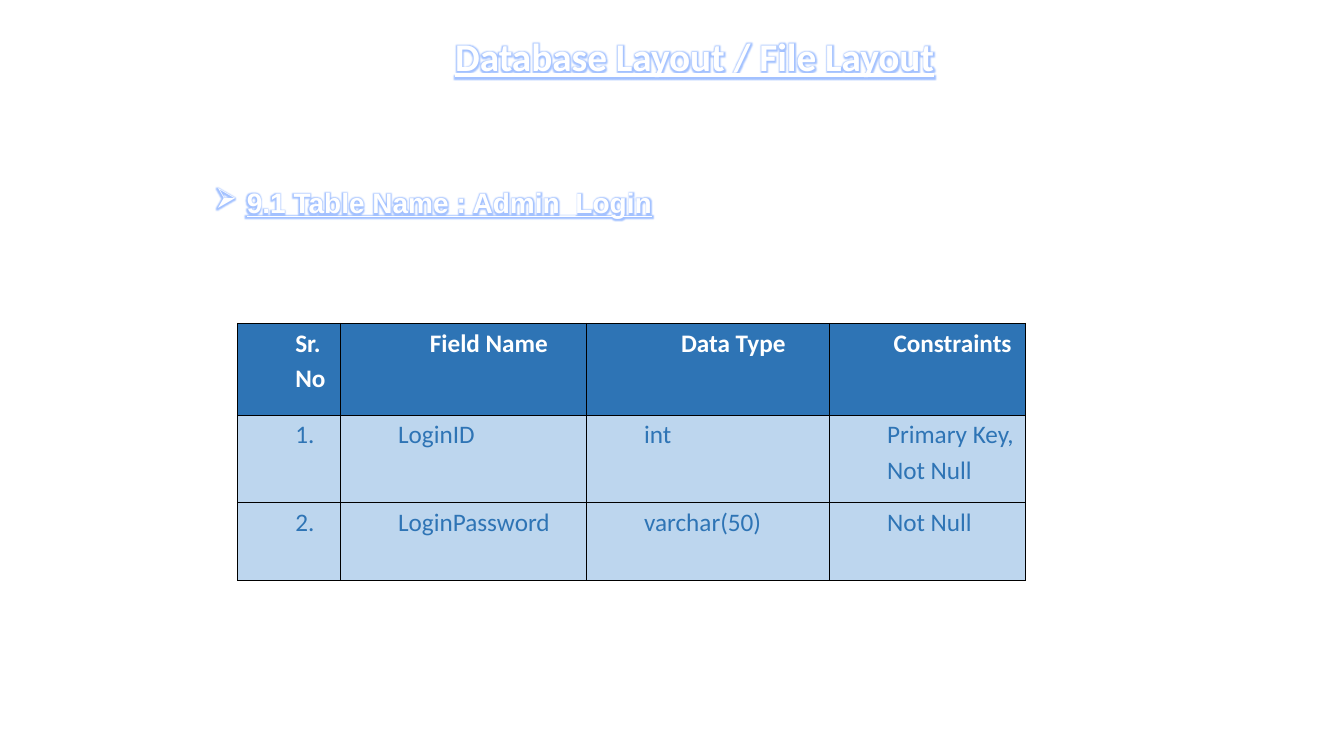
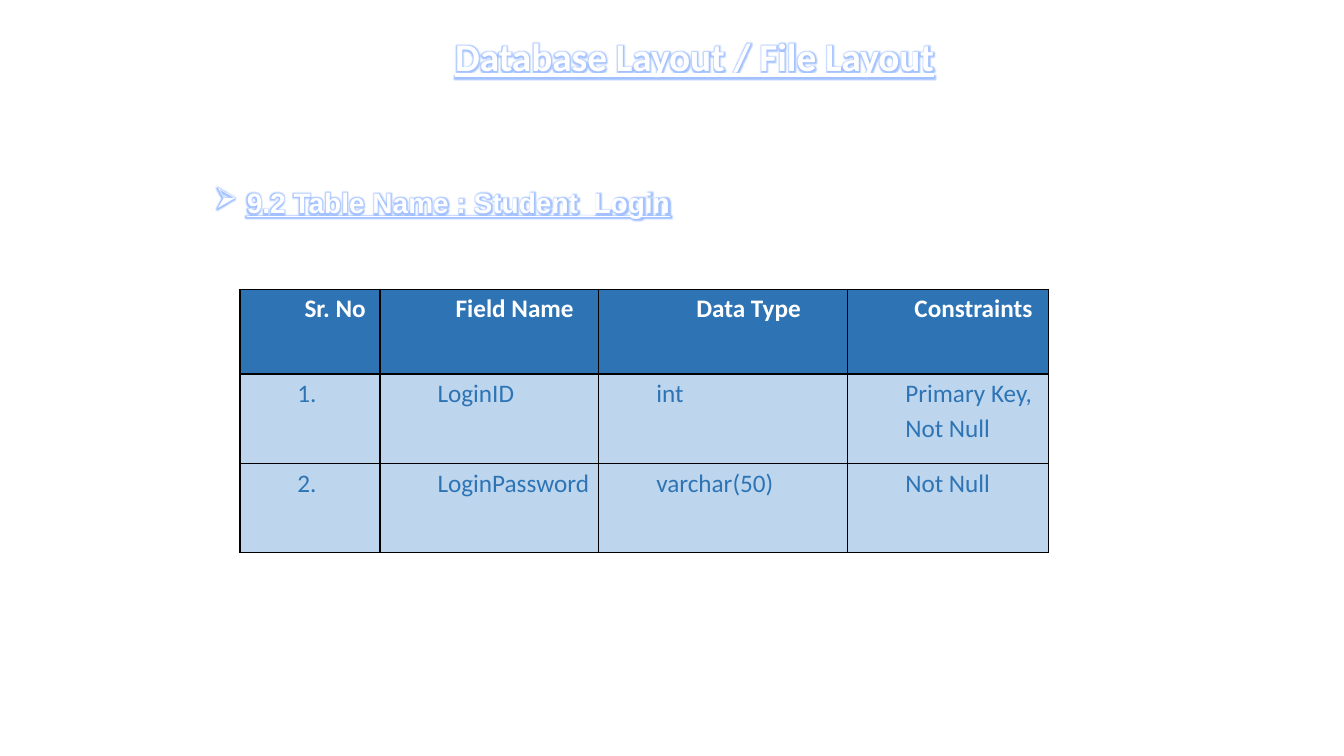
from lxml import etree
from pptx import Presentation
from pptx.dml.color import RGBColor
from pptx.enum.text import MSO_ANCHOR, PP_ALIGN
from pptx.oxml.ns import qn
from pptx.util import Inches, Pt

WHITE, BLACK = "FFFFFF", "000000"
HEADER_BLUE, ROW_BLUE, GLOW_BLUE = "2E74B5", "BDD6EE", "6699FF"
HEADINGS = ["Sr. No", "Field Name", "Data Type", "Constraints"]
FIELDS = [
    ["1.", "LoginID", "int", "Primary Key,\nNot Null"],
    ["2.", "LoginPassword", "varchar(50)", "Not Null"],
]


def rgb(code):
    return RGBColor.from_string(code)


def add_node(parent, tag, **attributes):
    return etree.SubElement(parent, qn(tag), attributes)


class LayoutDeck:
    """Holds the style and current slide; lengths are percent of the slide."""

    def __init__(self):
        self.prs = Presentation()
        self.prs.slide_width = Inches(13.33)
        self.prs.slide_height = Inches(7.5)
        self.slide = None

    def x(self, share):
        return round(self.prs.slide_width * share / 100)

    def y(self, share):
        return round(self.prs.slide_height * share / 100)

    def new_slide(self):
        self.slide = self.prs.slides.add_slide(self.prs.slide_layouts[6])

    def style(self, paragraph, size, face, color, bold):
        for run in paragraph.runs:
            font = run.font
            font.size, font.name, font.bold = Pt(size), face, bold
            font.color.rgb = rgb(color)

    def indent(self, paragraph, left, first=0):
        paragraph.line_spacing = 1.15
        props = paragraph._p.get_or_add_pPr()
        props.set("marL", str(Inches(left)))
        props.set("indent", str(Inches(first)))
        return props

    def glowing_text(self, text, left, top, width, height, wrap=True):
        box = self.slide.shapes.add_textbox(
            self.x(left), self.y(top), self.x(width), self.y(height))
        frame = box.text_frame
        frame.word_wrap = wrap
        frame.vertical_anchor = MSO_ANCHOR.TOP
        frame.text = text
        return frame.paragraphs[0]

    def glow(self, paragraph):
        for run in paragraph.runs:
            run.font.underline = True
            props = run._r.get_or_add_rPr()
            effects = etree.Element(qn("a:effectLst"))
            halo = add_node(effects, "a:glow", rad=str(Pt(5)))
            tint = add_node(halo, "a:srgbClr", val=GLOW_BLUE)
            add_node(tint, "a:alpha", val="60000")
            props.find(qn("a:solidFill")).addnext(effects)

    def title(self, text):
        line = self.glowing_text(text, 14.18, 3.6, 75, 13.87)
        line.alignment = PP_ALIGN.CENTER
        self.style(line, 28, "Calibri", WHITE, True)
        self.glow(line)

    def table_name(self, text, width):
        line = self.glowing_text(text, 11.55, 23.2, width, 6.53, wrap=False)
        add_node(self.indent(line, 0.81, -0.31), "a:buChar", char="➢")
        self.style(line, 20, "Arial", WHITE, True)
        self.glow(line)

    def border(self, cell):
        props = cell._tc.get_or_add_tcPr()
        for position, side in enumerate(("a:lnL", "a:lnR", "a:lnT", "a:lnB")):
            edge = etree.Element(qn(side), w=str(Pt(1)))
            add_node(add_node(edge, "a:solidFill"), "a:srgbClr", val=BLACK)
            props.insert(position, edge)

    def fill_cell(self, cell, text, is_header, centred):
        cell.margin_left = cell.margin_right = Inches(0.07)
        cell.margin_top = cell.margin_bottom = 0
        cell.fill.solid()
        cell.fill.fore_color.rgb = rgb(HEADER_BLUE if is_header else ROW_BLUE)
        self.border(cell)
        cell.text_frame.text = text
        for line in cell.text_frame.paragraphs:
            self.indent(line, 0.5)
            line.alignment = PP_ALIGN.CENTER if centred else PP_ALIGN.LEFT
            self.style(line, 18, "Calibri",
                       WHITE if is_header else HEADER_BLUE, is_header)

    def field_table(self, left, top, widths, heights, first_centred):
        grid = self.slide.shapes.add_table(
            len(heights), len(widths), self.x(left), self.y(top),
            self.x(sum(widths)), self.y(sum(heights))).table
        grid.first_row = grid.horz_banding = False
        for column, width in zip(grid.columns, widths):
            column.width = self.x(width)
        for row, height in zip(grid.rows, heights):
            row.height = self.y(height)
        for r, entries in enumerate([HEADINGS] + FIELDS):
            for c, entry in enumerate(entries):
                centred = r == 0 and (c > 0 or first_centred)
                self.fill_cell(grid.cell(r, c), entry, r == 0, centred)


def main():
    deck = LayoutDeck()
    # Each section: table name, its width, then the table's geometry
    sections = [
        ("9.1 Table Name : Admin_Login", 38.03,
         (17.7, 42.8, [7.65, 18.3, 18.08, 14.55], [12.13, 11.6, 10.27], False)),
        ("9.2 Table Name : Student_Login", 39.38,
         (17.85, 38.27, [10.43, 16.28, 18.53, 14.93], [11.2, 11.87, 11.73], True)),
    ]
    for name, name_width, geometry in sections:
        deck.new_slide()
        deck.title("Database Layout / File Layout")
        deck.table_name(name, name_width)
        deck.field_table(*geometry)
    deck.prs.save("out.pptx")


if __name__ == "__main__":
    main()
